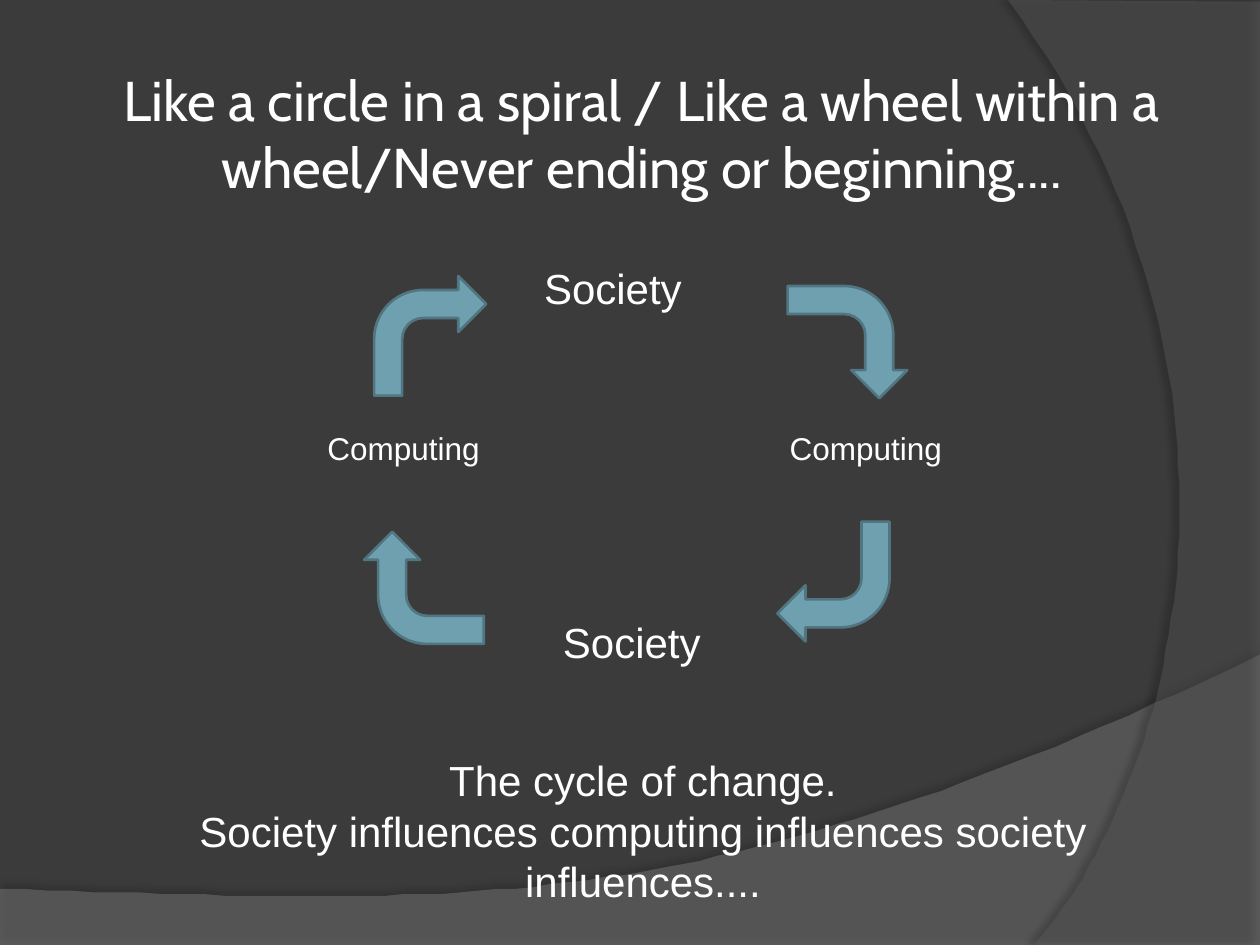
from lxml.etree import SubElement
from pptx import Presentation
from pptx.dml.color import RGBColor
from pptx.enum.shapes import MSO_SHAPE as Shape
from pptx.enum.text import MSO_ANCHOR as Anchor, MSO_AUTO_SIZE as AutoSize, PP_ALIGN as Align
from pptx.oxml.ns import qn
from pptx.util import Pt

WHITE, BACKGROUND, ARROW_FILL, ARROW_LINE = "FFFFFF", "3B3B3B", "6EA0B0", "517682"
TITLE = "Like a circle in a spiral / Like a wheel within a wheel/Never ending or beginning...."
CAPTION = ["The cycle of change.",
           "Society influences computing influences society influences...."]
CAPTION_SHIFT = 13.3  # extra right margin of the first caption line

# text, left, top, width, height, size
LABELS = [
    ("Society", 303.8, 146.2, 94.3, 36, 24),
    ("Society", 314.6, 348.5, 94.3, 36, 24),
    ("Computing", 444.2, 241.9, 102.2, 28.8, 18),
    ("Computing", 180, 241.9, 102.2, 28.8, 18),
]

# left, top, rotation
ARROWS = [(452.2, 161.3, 90), (444.2, 298.1, 180), (213.8, 157.7, 0), (210.2, 301.7, 270)]
ARROW_SIZE = (64.1, 68.4)

# Each swoosh: straight corners, then a Bezier from the last corner
SWOOSHES = [
    dict(corners=[(0, 507.6), (0, 540), (720, 540), (720, 374.4)],
         curve=[(402.5, 524.9), (281.5, 517.7), (0, 507.6)],
         color="7F7F7F", alpha=45, shadow_alpha=35, distance=3.5, direction=270),
    dict(corners=[(720, 1.4), (720, 540), (591.1, 540)],
         curve=[(673.2, 445.7), (733, 216), (576, 0)],
         color="5E5E5E", alpha=40, shadow_alpha=45, distance=4, direction=180),
]
CURVE_STEPS = 60


def rgb(value):
    return RGBColor.from_string(value)


def bezier(start, control_1, control_2, end):
    """Return points along a cubic Bezier, without its start."""
    points = []
    for step in range(1, CURVE_STEPS + 1):
        t = step / CURVE_STEPS
        weights = ((1 - t) ** 3, 3 * t * (1 - t) ** 2, 3 * t * t * (1 - t), t ** 3)
        points.append(tuple(
            sum(weight * value for weight, value in zip(weights, axis))
            for axis in zip(start, control_1, control_2, end)))
    return points


def set_alpha(color_element, percent):
    SubElement(color_element, qn("a:alpha"), val=str(percent * 1000))


def add_swoosh(slide, corners, curve, color, alpha, shadow_alpha, distance, direction):
    points = corners + bezier(corners[-1], *curve)
    builder = slide.shapes.build_freeform(*points[0], scale=Pt(1))
    builder.add_line_segments(points[1:], close=True)
    shape = builder.convert_to_shape()
    shape.fill.solid()
    shape.fill.fore_color.rgb = rgb(color)
    shape.line.fill.background()
    shape.shadow.inherit = False
    properties = shape.element.spPr
    set_alpha(properties.find(qn("a:solidFill"))[0], alpha)
    shadow = SubElement(properties.find(qn("a:effectLst")), qn("a:outerShdw"),
                        blurRad=str(Pt(4)), dist=str(Pt(distance)),
                        dir=str(direction * 60000), algn="ctr", rotWithShape="0")
    set_alpha(SubElement(shadow, qn("a:srgbClr"), val="000000"), shadow_alpha)


def write_text(shape, lines, size, font="Arial", align=Align.LEFT, wrap=True,
               anchor=Anchor.TOP, auto_size=AutoSize.SHAPE_TO_FIT_TEXT):
    frame = shape.text_frame
    frame.text = "\n".join(lines)
    frame.word_wrap = wrap
    frame.vertical_anchor = anchor
    frame.auto_size = auto_size
    for paragraph in frame.paragraphs:
        paragraph.alignment = align
        paragraph.font.size = Pt(size)
        paragraph.font.name = font
        paragraph.font.color.rgb = rgb(WHITE)
    return frame


def main():
    presentation = Presentation()
    presentation.slide_width, presentation.slide_height = Pt(720), Pt(540)
    slide = presentation.slides.add_slide(presentation.slide_layouts[5])
    slide.background.fill.solid()
    slide.background.fill.fore_color.rgb = rgb(BACKGROUND)

    for swoosh in SWOOSHES:
        add_swoosh(slide, **swoosh)

    title = slide.shapes.title
    slide.shapes.element.append(title.element)  # in front of the swooshes
    title.left, title.top, title.width, title.height = Pt(36), Pt(21.6), Pt(661.7), Pt(108)
    frame = write_text(title, [TITLE], 32, font="Cabin", align=Align.CENTER,
                       anchor=Anchor.MIDDLE, auto_size=AutoSize.NONE)
    frame.margin_left = frame.margin_right = Pt(3.6)
    frame.margin_top = frame.margin_bottom = Pt(3.6)

    for text, *box, size in LABELS:
        label = slide.shapes.add_textbox(*map(Pt, box))
        write_text(label, [text], size, wrap=False)

    for left, top, rotation in ARROWS:
        arrow = slide.shapes.add_shape(Shape.BENT_ARROW, Pt(left), Pt(top), *map(Pt, ARROW_SIZE))
        arrow.rotation = rotation
        arrow.fill.solid()
        arrow.fill.fore_color.rgb = rgb(ARROW_FILL)
        arrow.line.color.rgb = rgb(ARROW_LINE)
        arrow.line.width = Pt(1.5)
        arrow.shadow.inherit = False

    caption = slide.shapes.add_textbox(Pt(56.2), Pt(427.7), Pt(635.8), Pt(94.3))
    frame = write_text(caption, CAPTION, 24, align=Align.CENTER)
    frame.paragraphs[0]._p.get_or_add_pPr().set("marR", str(Pt(CAPTION_SHIFT)))

    presentation.save("out.pptx")


if __name__ == "__main__":
    main()
